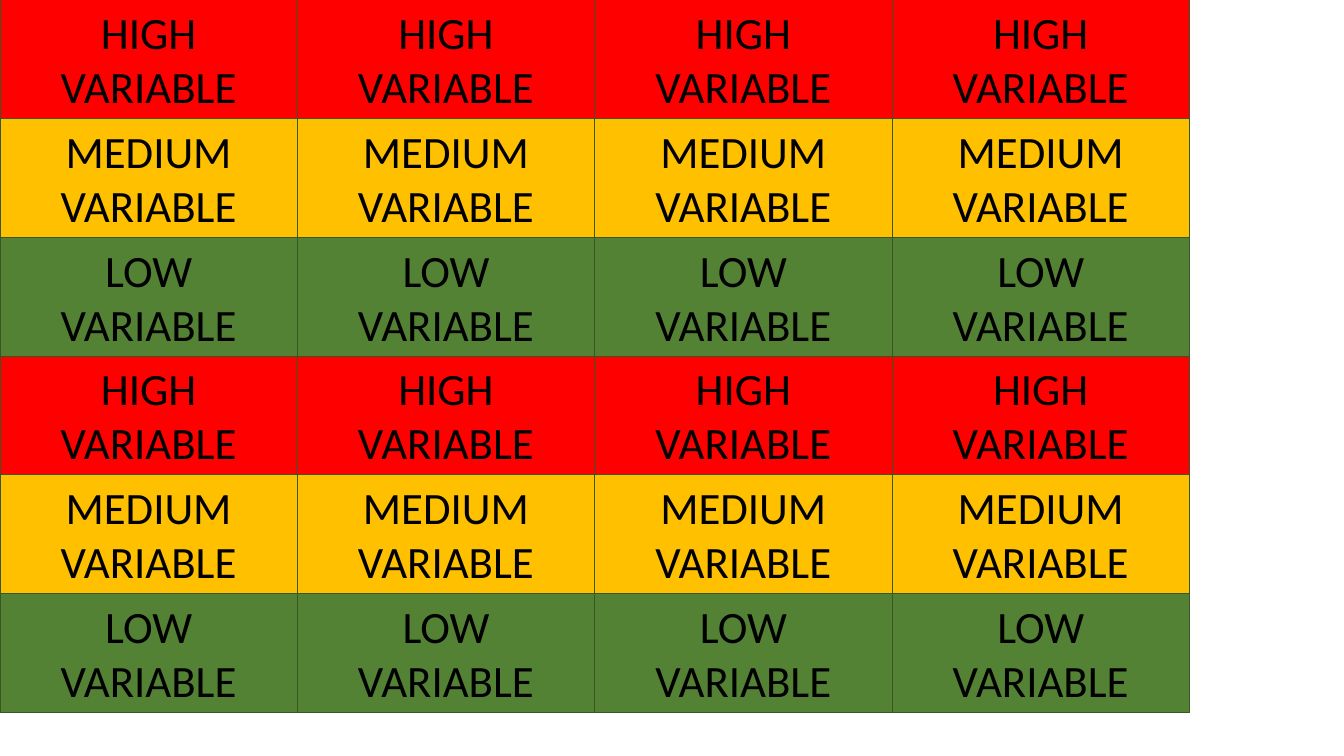
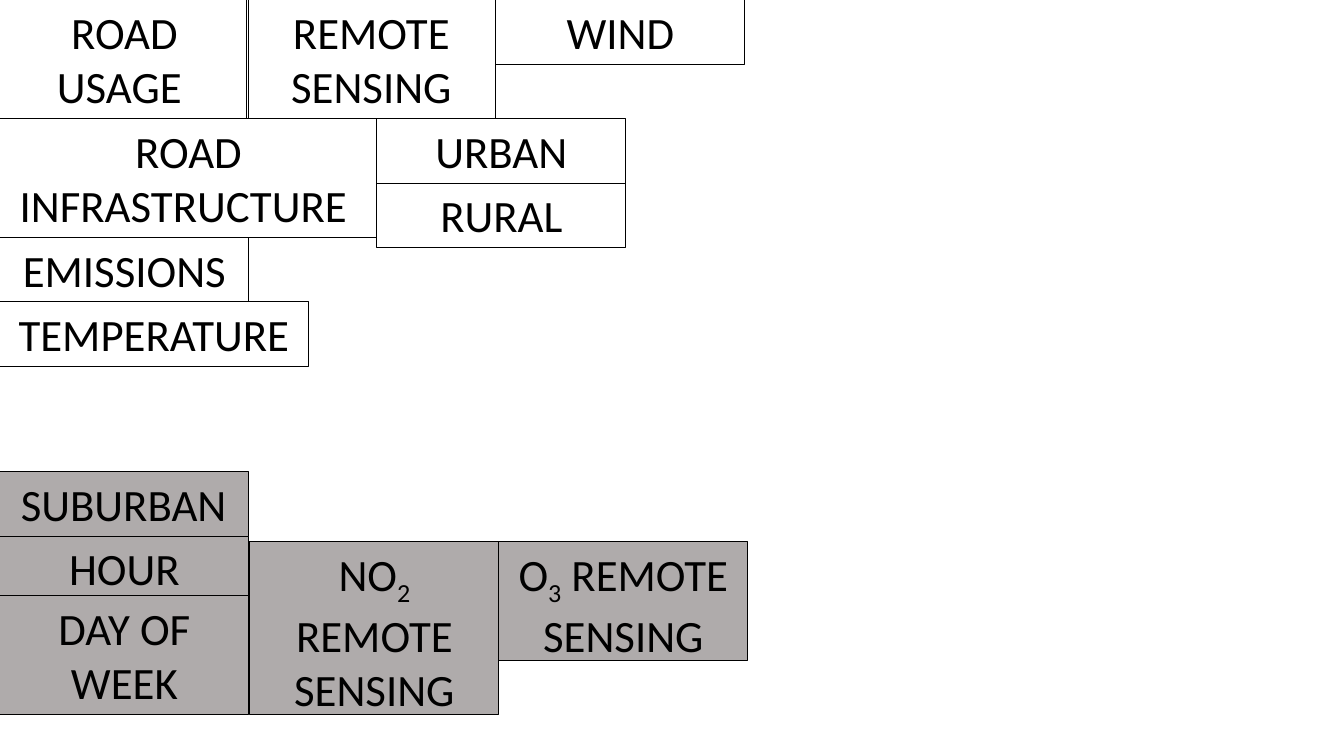
from pptx import Presentation
from pptx.dml.color import RGBColor
from pptx.enum.text import MSO_ANCHOR, MSO_AUTO_SIZE, PP_ALIGN
from pptx.util import Pt

HUES = {
    "red": "FF0000",
    "amber": "FFC000",
    "green": "548235",
    "edge": "385723",
    "gray": "AFABAB",
    "black": "000000",
}
LEVELS = [("HIGH", "red"), ("MEDIUM", "amber"), ("LOW", "green")]
FONT, SIZE = "Calibri", 32
LINE, PAD = 38.78, 7.26
WIDE = 177.84


def high(lines):
    """Return the height of a tile that holds this many lines."""
    return PAD + LINE * lines


def hue(name):
    """Return the named colour."""
    return RGBColor.from_string(HUES[name])


def write(par, text):
    """Fill a centred paragraph, lowering each part set between underscores."""
    par.alignment = PP_ALIGN.CENTER
    for i, part in enumerate(text.split("_")):
        run = par.add_run()
        run.text = part
        run.font.name = FONT
        run.font.size = Pt(SIZE)
        run.font.color.rgb = hue("black")
        if i % 2:
            run.font._element.set("baseline", "-25000")


def tile(slide, box, rows, fill, edge):
    """Draw one outlined tile with a paragraph for each row."""
    shape = slide.shapes.add_textbox(*map(Pt, box))
    if fill:
        shape.fill.solid()
        shape.fill.fore_color.rgb = hue(fill)
    shape.line.color.rgb = hue(edge)
    shape.line.width = Pt(0.75)
    frame = shape.text_frame
    frame.word_wrap = True
    frame.auto_size = MSO_AUTO_SIZE.SHAPE_TO_FIT_TEXT
    frame.vertical_anchor = MSO_ANCHOR.TOP
    for i, text in enumerate(rows):
        write(frame.add_paragraph() if i else frame.paragraphs[0], text)


def levels(slide, box, cols, sets):
    """Fill the box with repeated high, medium and low tiles."""
    left, top, width, height = box
    count = sets * len(LEVELS)
    wide, tall = width / cols, height / count
    for col in range(cols):
        for row in range(count):
            word, fill = LEVELS[row % len(LEVELS)]
            spot = (left + col * wide, top + row * tall, wide, tall)
            tile(slide, spot, [word, "VARIABLE"], fill, "edge")


def labels(slide, left, top, items, fill=None):
    """Place label tiles relative to the corner of their group."""
    for text, x, y, wide, lines in items:
        spot = (left + x, top + y, wide, high(lines))
        tile(slide, spot, [text], fill, "black")


def main():
    """Build and save both slides."""
    deck = Presentation()
    deck.slide_width, deck.slide_height = Pt(960), Pt(540)
    grid, names = [deck.slides.add_slide(deck.slide_layouts[6]) for _ in range(2)]
    one, two = high(1), high(2)

    levels(grid, (0, 0, 849.6, 6 * two), 4, 2)

    side = 269.28
    labels(names, 0, 0, [
        ("ROAD USAGE ", 0, 0, WIDE, 2),
        ("ROAD INFRASTRUCTURE ", 0, two, side, 2),
        ("REMOTE SENSING", 176.4, 0, WIDE, 2),
        ("URBAN", side, two, WIDE, 1),
        ("RURAL", side, two + one, WIDE, 1),
        ("EMISSIONS", 0, 2 * two, WIDE, 1),
        ("WIND", 354.24, 0, WIDE, 1),
        ("TEMPERATURE", -0.5, 2 * two + one, 221.04, 1),
    ])
    near = 178.56
    labels(names, 0, 337, [
        ("SUBURBAN", -0.5, 0, WIDE, 1),
        ("HOUR", 0, one, WIDE, 1),
        ("DAY OF WEEK", 0, 88.5, WIDE, 2),
        ("NO_2_ REMOTE SENSING", near, 49.7, WIDE, 3),
        ("O_3_ REMOTE SENSING", near + WIDE, 49.7, WIDE, 2),
    ], "gray")
    deck.save("out.pptx")


if __name__ == "__main__":
    main()
